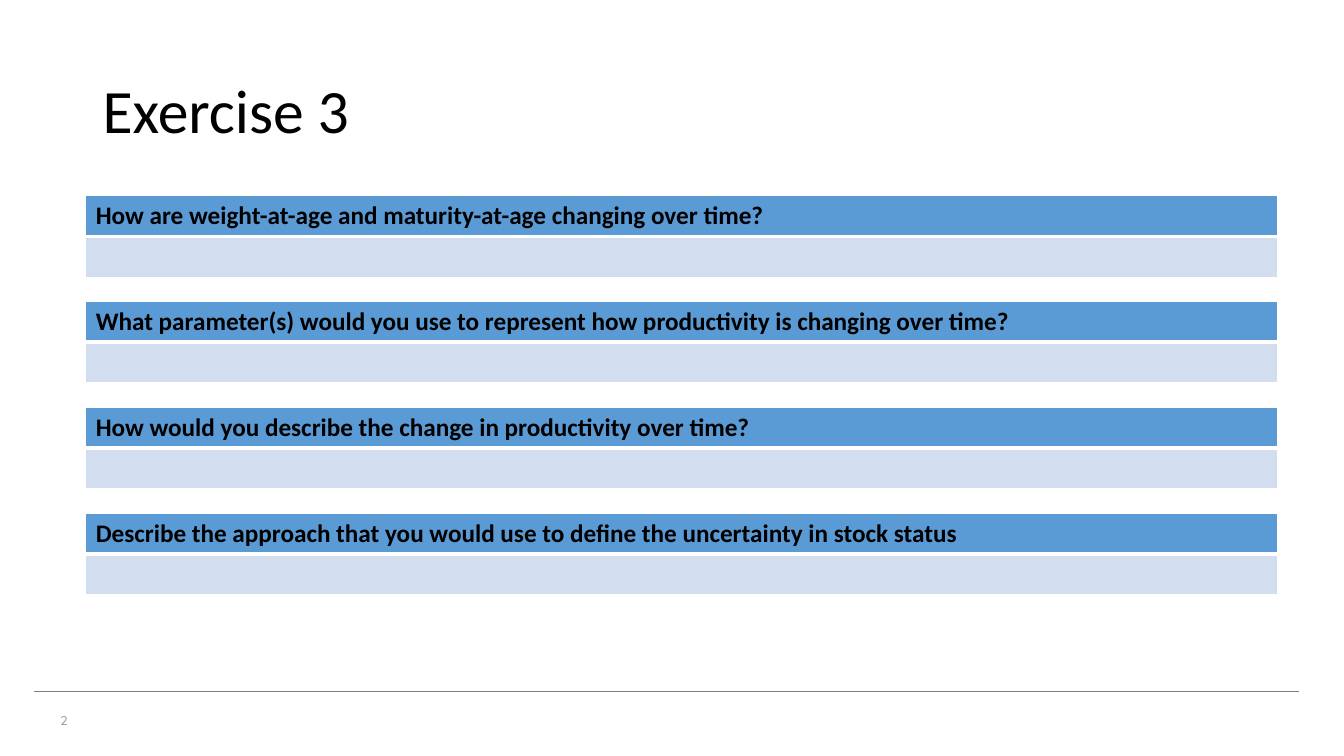
from lxml.etree import SubElement
from pptx import Presentation
from pptx.dml.color import RGBColor
from pptx.enum.shapes import MSO_CONNECTOR as Connector
from pptx.enum.text import MSO_ANCHOR as Anchor
from pptx.oxml import parse_xml
from pptx.oxml.ns import nsdecls, qn
from pptx.util import Inches, Pt

TITLE = "Exercise 3"
PAGE_NUMBER = "2"
QUESTIONS = [
    "How are weight-at-age and maturity-at-age changing over time?\u00a0",
    "What parameter(s) would you use to represent how productivity is changing over time?",
    "How would you describe the change in productivity over time?",
    "Describe the approach that you would use to define the uncertainty in stock status",
]

BLACK = RGBColor(0x00, 0x00, 0x00)
GREY = RGBColor(0x7F, 0x7F, 0x7F)
WHITE = RGBColor(0xFF, 0xFF, 0xFF)
QUESTION_BLUE = RGBColor(0x5B, 0x9B, 0xD5)
ANSWER_BLUE = RGBColor(0xD2, 0xDE, 0xEF)

LEFT, TOP, WIDTH = 0.85, 1.94, 11.82
BLOCK_HEIGHT, BLOCK_STEP = 0.81, 1.05
THIN, THICK = 1, 3


def write(frame, text, size=18, font="Calibri", color=BLACK, bold=False, spacing=1.0):
    paragraph = frame.paragraphs[0]
    paragraph.line_spacing = spacing
    run = paragraph.add_run()
    run.text = text
    run.font.size, run.font.name, run.font.bold = Pt(size), font, bold
    run.font.color.rgb = color


def add_label(text, left, top, width, height, **style):
    box = slide.shapes.add_textbox(*map(Inches, (left, top, width, height)))
    box.text_frame.word_wrap = True
    box.text_frame.vertical_anchor = Anchor.MIDDLE
    write(box.text_frame, text, **style)


def paint(cell, fill, top, bottom):
    cell.fill.solid()
    cell.fill.fore_color.rgb = fill
    edges = {"lnL": THIN, "lnR": THIN, "lnT": top, "lnB": bottom}
    for position, (edge, points) in enumerate(edges.items()):
        border = parse_xml(
            f'<a:{edge} {nsdecls("a")} w="{Pt(points)}"><a:solidFill>'
            f'<a:srgbClr val="{WHITE}"/></a:solidFill></a:{edge}>')
        cell._tc.get_or_add_tcPr().insert(position, border)


def add_question(text, top):
    frame = slide.shapes.add_table(
        2, 1, *map(Inches, (LEFT, top, WIDTH, BLOCK_HEIGHT)))
    table = frame.table
    table.horz_banding = False
    question, answer = table.cell(0, 0), table.cell(1, 0)
    write(question.text_frame, text, bold=True)
    paint(question, QUESTION_BLUE, THIN, THICK)
    paint(answer, ANSWER_BLUE, THICK, THIN)


deck = Presentation()
deck.slide_width, deck.slide_height = Inches(13.33), Inches(7.5)
slide = deck.slides.add_slide(deck.slide_layouts[6])

add_label(PAGE_NUMBER, 0.5, 6.95, 1.07, 0.4, size=9, font="Quicksand", color=GREY)
footer_rule = slide.shapes.add_connector(
    Connector.STRAIGHT, *map(Inches, (0.34, 6.86, 12.88, 6.86)))
footer_rule.line.color.rgb = GREY
footer_rule.line.width = Pt(0.25)
SubElement(footer_rule._element.spPr, qn("a:effectLst"))

add_label(TITLE, 0.92, 0.4, 11.5, 1.45, size=44, spacing=0.9)
for row, question_text in enumerate(QUESTIONS):
    add_question(question_text, TOP + row * BLOCK_STEP)

deck.save("out.pptx")
